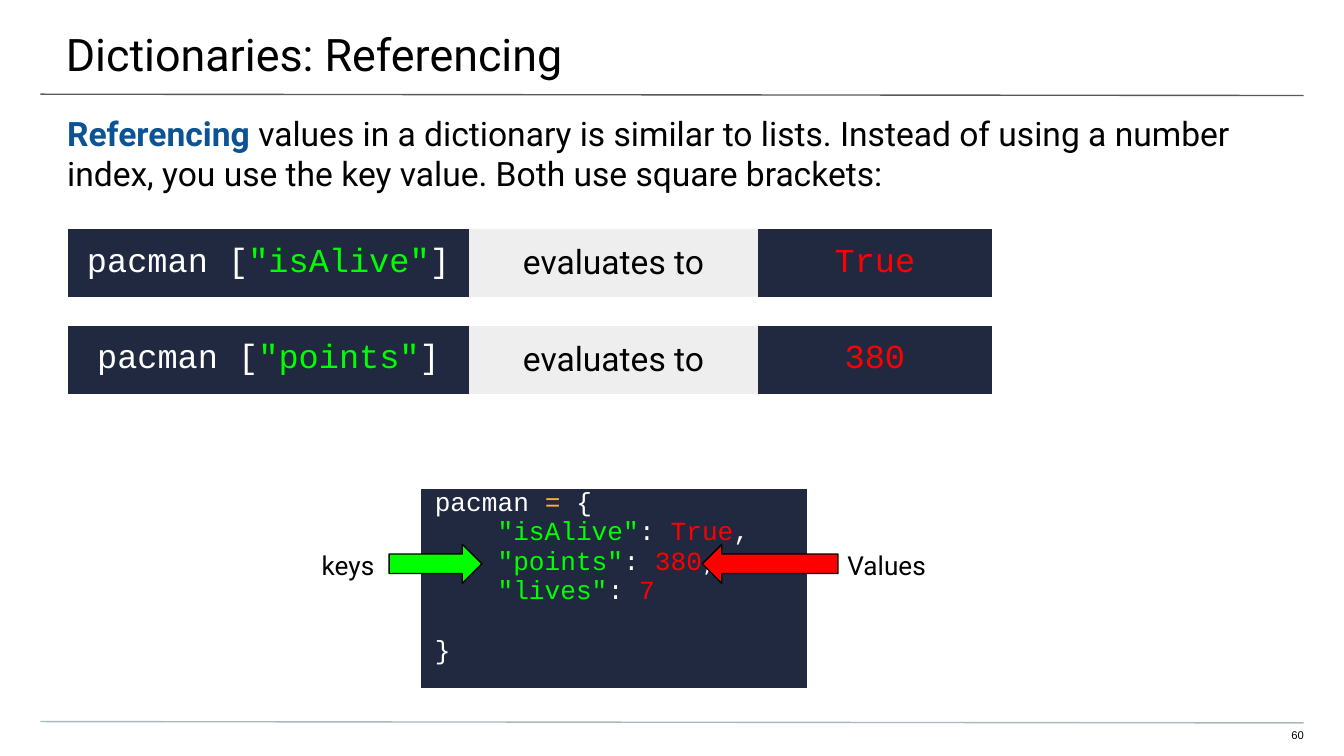
from dataclasses import dataclass
from lxml.etree import SubElement
from pptx import Presentation
from pptx.dml.color import RGBColor
from pptx.enum.shapes import MSO_CONNECTOR, MSO_SHAPE
from pptx.enum.text import MSO_ANCHOR, PP_ALIGN
from pptx.oxml.ns import qn
from pptx.util import Inches, Pt

BLACK = RGBColor(0x00, 0x00, 0x00)
WHITE = RGBColor(0xFF, 0xFF, 0xFF)
NAVY = RGBColor(0x21, 0x29, 0x40)
PALE = RGBColor(0xEE, 0xEE, 0xEE)
GREEN = RGBColor(0x00, 0xFF, 0x00)
RED = RGBColor(0xFF, 0x00, 0x00)
AMBER = RGBColor(0xFF, 0xAB, 0x40)
BLUE = RGBColor(0x0B, 0x53, 0x94)
GREY = RGBColor(0x59, 0x59, 0x59)
MIST = RGBColor(0xA9, 0xB7, 0xC0)

SANS, MONO = "Roboto", "Courier New"
LEFT, MID, RIGHT = PP_ALIGN.LEFT, PP_ALIGN.CENTER, PP_ALIGN.RIGHT
PLAIN = "{2D5ABB26-0587-4C30-8999-92F81FD0307C}"  # table style without grid
WIDE = Inches(10)
HIGH = WIDE * 9 // 16


@dataclass
class Box:
    """Left, top, width and height as percent of the slide."""
    x: float
    y: float
    w: float
    h: float

    def place(self) -> tuple:
        return across(self.x), down(self.y), across(self.w), down(self.h)


@dataclass
class Part:
    text: str
    color: RGBColor = BLACK
    bold: bool = False


@dataclass
class Style:
    size: float
    font: str = SANS
    align: PP_ALIGN = LEFT
    inset: tuple = (0.1, 0, 0.1, 0)  # left, top, right, bottom in inches


@dataclass
class Cell:
    lines: list
    style: Style
    fill: RGBColor = None
    anchor: MSO_ANCHOR = MSO_ANCHOR.TOP


def across(share: float) -> int:
    return round(WIDE * share / 100)


def down(share: float) -> int:
    return round(HIGH * share / 100)


def write(frame, lines: list, style: Style) -> None:
    for i, line in enumerate(lines):
        para = frame.paragraphs[0] if i == 0 else frame.add_paragraph()
        para.alignment = style.align
        para.font.name, para.font.size = style.font, Pt(style.size)
        for part in line:
            run = para.add_run()
            run.text = part.text
            run.font.color.rgb = part.color
            if part.bold:
                run.font.bold = True


def pad(item, inset: tuple) -> None:
    (item.margin_left, item.margin_top,
     item.margin_right, item.margin_bottom) = map(Inches, inset)


def label(slide, box: Box, line: list, style: Style) -> None:
    frame = slide.shapes.add_textbox(*box.place()).text_frame
    frame.word_wrap = True
    pad(frame, style.inset)
    write(frame, [line], style)


def rule(slide, y: float, color: RGBColor) -> None:
    line = slide.shapes.add_connector(
        MSO_CONNECTOR.STRAIGHT, across(3), down(y), across(97), down(y + 0.18))
    line.line.color.rgb, line.line.width = color, Pt(0.75)
    SubElement(line._element.spPr, qn("a:effectLst"))


def arrow(slide, kind: MSO_SHAPE, box: Box, color: RGBColor) -> None:
    shape = slide.shapes.add_shape(kind, *box.place())
    shape.shadow.inherit = False
    shape.fill.solid()
    shape.fill.fore_color.rgb = color
    shape.line.color.rgb, shape.line.width = BLACK, Pt(0.75)


def grid(slide, x: float, y: float, cols: list, rows: list, cells: list):
    """Draw one line of cells, each spanning all rows."""
    box = Box(x, y, sum(cols), sum(rows))
    table = slide.shapes.add_table(len(rows), len(cols), *box.place()).table
    table.first_row = table.horz_banding = False
    table._tbl.tblPr.find(qn("a:tableStyleId")).text = PLAIN
    for row, share in zip(table.rows, rows):
        row.height = down(share)
        for spot in row.cells:
            pad(spot, (0, 0, 0, 0))
    for i, (share, cell) in enumerate(zip(cols, cells)):
        table.columns[i].width = across(share)
        spot = table.cell(0, i)
        if len(rows) > 1:
            spot.merge(table.cell(len(rows) - 1, i))
        pad(spot, cell.style.inset)
        spot.vertical_anchor = cell.anchor
        if cell.fill is None:
            spot.fill.background()
        else:
            spot.fill.solid()
            spot.fill.fore_color.rgb = cell.fill
        write(spot.text_frame, cell.lines, cell.style)
    return table


def entry(key: str, value: str, end: str = "") -> list:
    line = [Part(f'    "{key}"', GREEN), Part(": ", WHITE), Part(value, RED)]
    return line + [Part(end, WHITE)] if end else line


def lookup(slide, y: float, key: str, value: str) -> None:
    code, word = Style(18, MONO, MID), Style(18, SANS, MID)
    call = [Part("pacman [", WHITE), Part(f'"{key}"', GREEN), Part("]", WHITE)]
    mid = MSO_ANCHOR.MIDDLE
    grid(slide, 5.05, y, [29.85, 21.5, 17.4], [9.07], [
        Cell([call], code, NAVY, mid),
        Cell([[Part("evaluates to")]], word, PALE, mid),
        Cell([[Part(value, RED)]], code, NAVY, mid)])


def main() -> None:
    deck = Presentation()
    deck.slide_width, deck.slide_height = WIDE, HIGH
    slide = deck.slides.add_slide(deck.slide_layouts[6])

    # Rules, title, page number and lead text
    rule(slide, 12.46, GREY)
    rule(slide, 95.45, MIST)
    label(slide, Box(-0.1, 0, 100.3, 10.32), [Part("Dictionaries: Referencing")],
          Style(24, inset=(0.5, 0.2, 0.3, 0.1)))
    label(slide, Box(94.1, 96.4, 2.9, 2.14), [Part("60")],
          Style(6, "Arial", RIGHT, (0, 0, 0, 0.1)))
    label(slide, Box(0, 13.17, 100, 7.12), [
        Part("Referencing", BLUE, True),
        Part(" values in a dictionary is similar to lists. Instead of using a "
             "number index, you use the key value. Both use square brackets:")],
        Style(18, inset=(0.5, 0.1, 0.5, 0)))

    # Dictionary code between its two captions
    code = [
        [Part("pacman ", WHITE), Part("=", AMBER), Part(" {", WHITE)],
        entry("isAlive", "True", ","),
        entry("points", "380", ","),
        entry("lives", "7"),
        [Part("}", WHITE)]]
    table = grid(slide, 13.05, 64.75, [18.3, 28.7, 35.3], [20.46, 5.87], [
        Cell([[Part("keys")]], Style(14, SANS, RIGHT, (0.3, 0.46, 0.35, 0))),
        Cell(code, Style(14, MONO), NAVY),
        Cell([[Part("Values")]], Style(14, inset=(0.3, 0.46, 0.3, 0)))])
    table.cell(0, 1).text_frame.paragraphs[-1].space_before = Pt(16)

    # Arrows from the captions to the code
    arrow(slide, MSO_SHAPE.LEFT_ARROW, Box(52.25, 72, 10.1, 5.16), RED)
    arrow(slide, MSO_SHAPE.RIGHT_ARROW, Box(28.95, 72, 6.9, 5.16), GREEN)

    # Lookups and their results
    for i, (key, value) in enumerate([("isAlive", "True"), ("points", "380")]):
        lookup(slide, 30.28 + 12.81 * i, key, value)

    deck.save("out.pptx")


if __name__ == "__main__":
    main()
